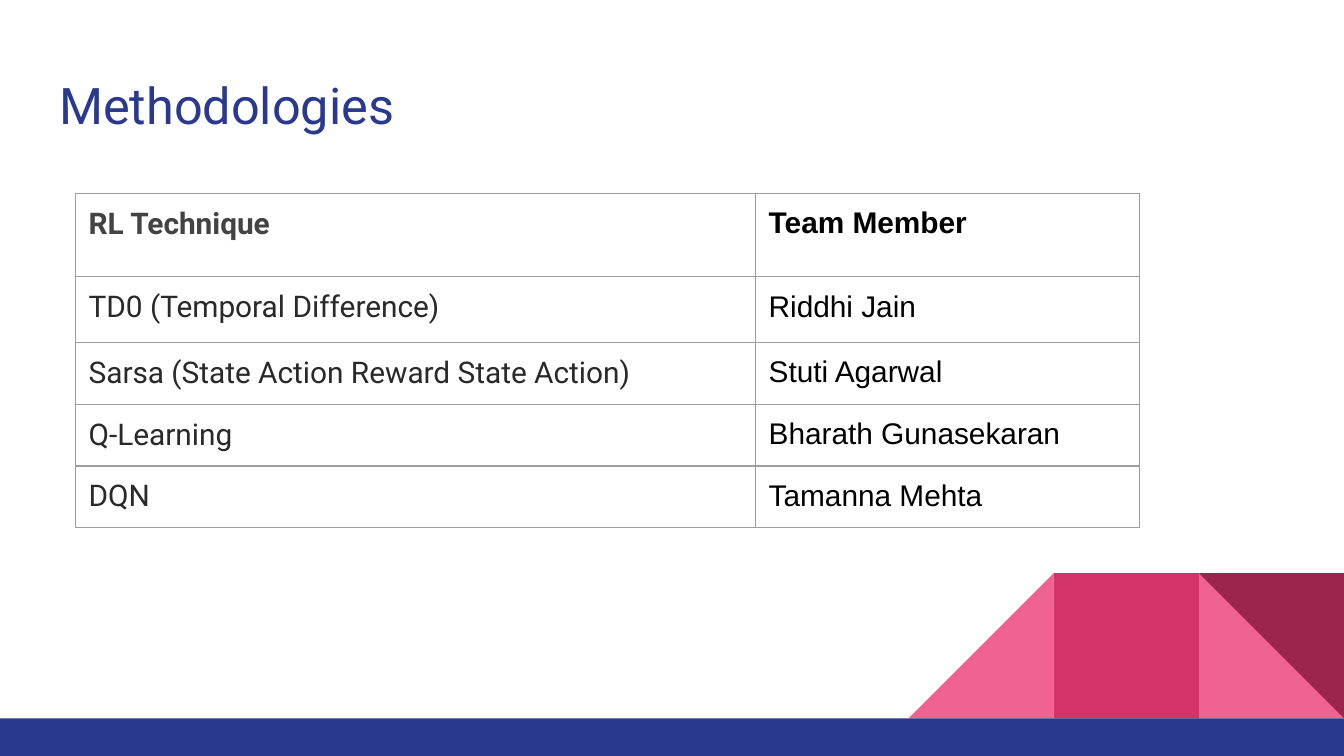
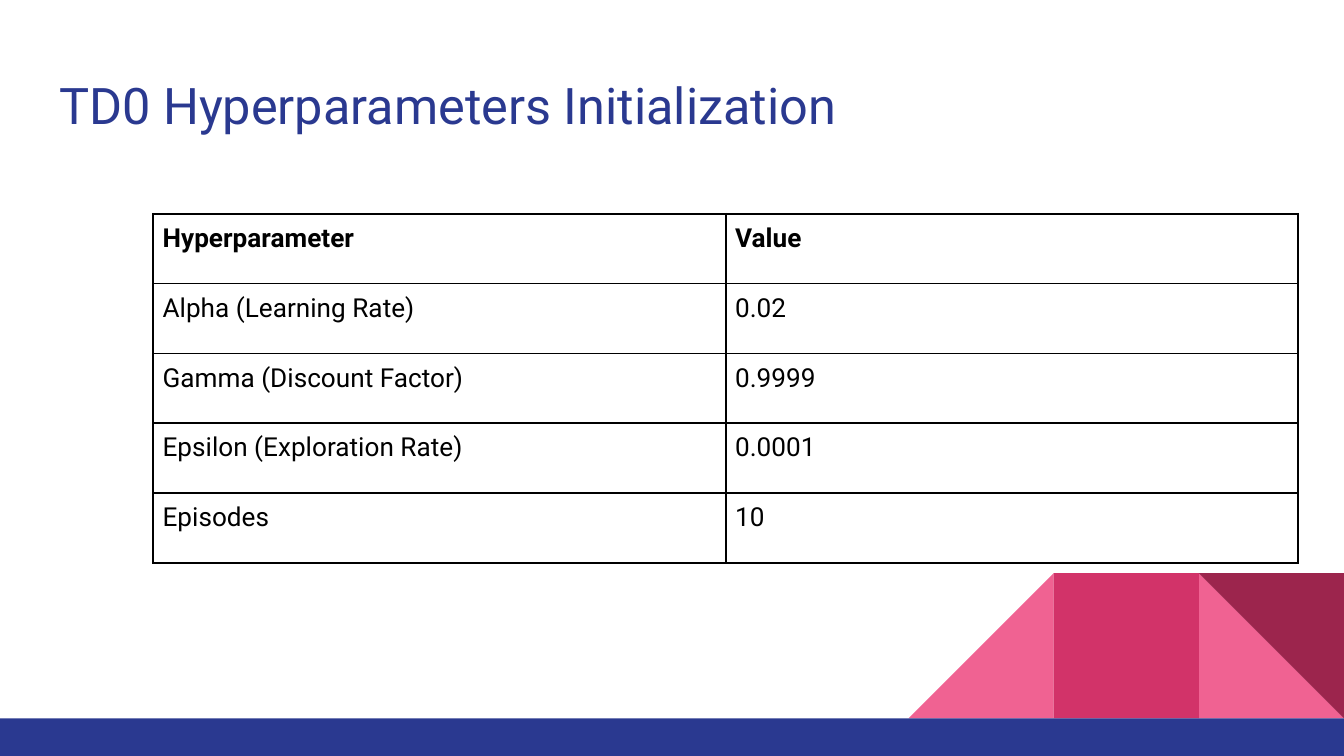
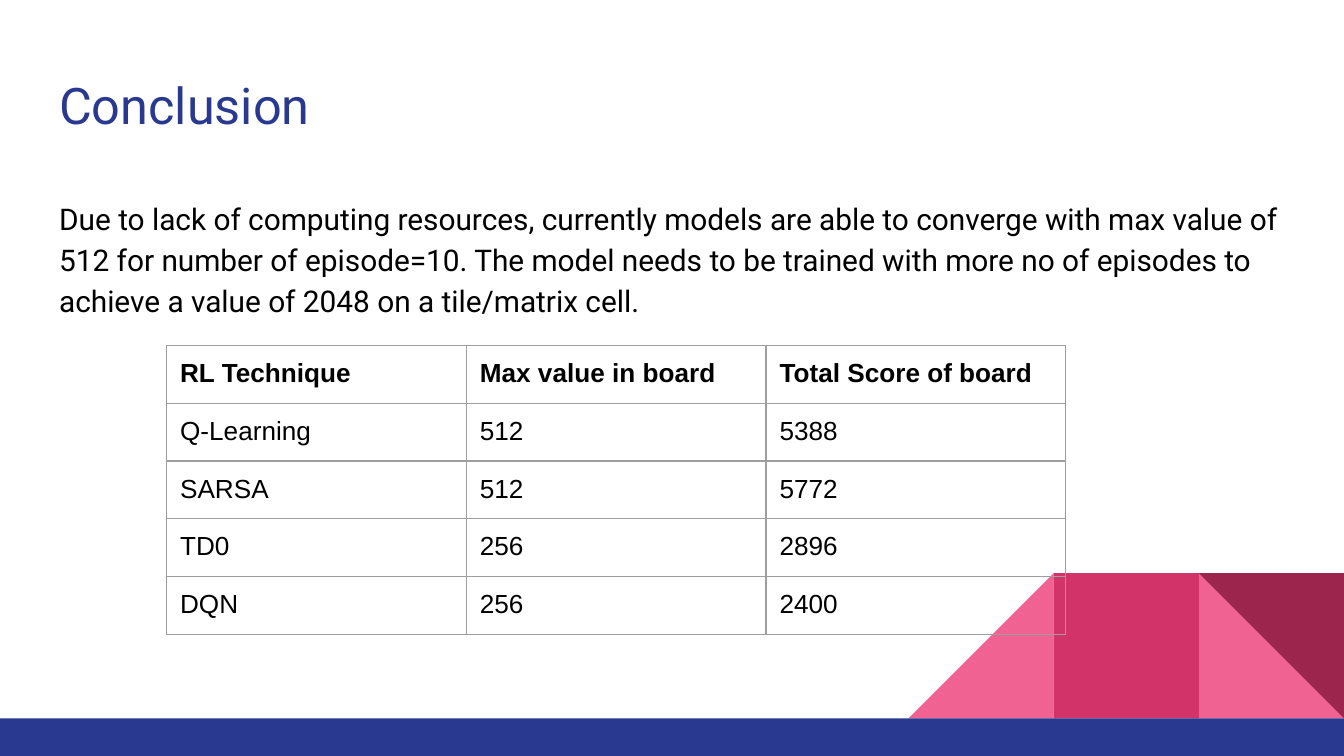
from dataclasses import dataclass

from lxml import etree
from pptx import Presentation
from pptx.dml.color import RGBColor
from pptx.enum.shapes import MSO_SHAPE
from pptx.enum.text import MSO_ANCHOR, MSO_AUTO_SIZE, PP_ALIGN
from pptx.oxml.ns import qn
from pptx.util import Inches, Pt

RECTANGLE = MSO_SHAPE.RECTANGLE
RIGHT_TRIANGLE = MSO_SHAPE.RIGHT_TRIANGLE
TOP = MSO_ANCHOR.TOP
LEFT = PP_ALIGN.LEFT
NO_AUTOFIT = MSO_AUTO_SIZE.NONE

WHITE = RGBColor(0xFF, 0xFF, 0xFF)
BLACK = RGBColor(0x00, 0x00, 0x00)
INDIGO = RGBColor(0x2A, 0x39, 0x90)
PINK = RGBColor(0xF0, 0x62, 0x92)
ROSE = RGBColor(0xD2, 0x33, 0x69)
WINE = RGBColor(0x9C, 0x25, 0x4D)
DARK_GRAY = RGBColor(0x43, 0x43, 0x43)
CHARCOAL = RGBColor(0x29, 0x29, 0x29)
RULE_GRAY = RGBColor(0x9E, 0x9E, 0x9E)

ROBOTO = "Roboto"
ARIAL = "Arial"

SLIDE_WIDTH = Inches(10)
SLIDE_HEIGHT = SLIDE_WIDTH * 9 // 16
BAND_HEIGHT = Inches(0.28)
TILE = Inches(1.08)
TEXT_LEFT, TEXT_WIDTH = Inches(0.34), Inches(9.32)
INSET = Inches(0.1)
TITLE_ONLY, TITLE_AND_BODY = 5, 1


@dataclass
class ColumnStyle:
    font: str
    header_color: RGBColor = BLACK
    body_color: RGBColor = BLACK
    space_after: int = 0


@dataclass
class TableStyle:
    columns: list
    size: int
    inset: float = 0.1
    rule_color: RGBColor = RULE_GRAY
    rule_width: float = 0.75


def add_run(paragraph, text, font, size, color, bold=False):
    run = paragraph.add_run()
    run.text = text
    run.font.name = font
    run.font.size = Pt(size)
    run.font.color.rgb = color
    run.font.bold = bold


def add_tile(shapes, kind, left, top, width, height, color, rotation=0):
    tile = shapes.add_shape(kind, left, top, width, height)
    tile.shadow.inherit = False
    tile.fill.solid()
    tile.fill.fore_color.rgb = color
    tile.line.fill.background()
    tile.rotation = rotation


def add_footer(slide):
    """Draw the indigo band and the tiles standing on its right end."""
    shapes = slide.shapes.add_group_shape().shapes
    band_top = SLIDE_HEIGHT - BAND_HEIGHT
    for kind, tiles_from_right, color, rotation in (
        (RIGHT_TRIANGLE, 1, PINK, 0),
        (RIGHT_TRIANGLE, 3, PINK, 270),
        (RECTANGLE, 2, ROSE, 0),
        (RIGHT_TRIANGLE, 1, WINE, 180),
    ):
        add_tile(shapes, kind, SLIDE_WIDTH - tiles_from_right * TILE,
                 band_top - TILE, TILE, TILE, color, rotation)
    add_tile(shapes, RECTANGLE, 0, band_top, SLIDE_WIDTH, BAND_HEIGHT, INDIGO)


def place_text(placeholder, top, height):
    """Position a placeholder and return its first paragraph."""
    placeholder.left, placeholder.top = TEXT_LEFT, top
    placeholder.width, placeholder.height = TEXT_WIDTH, height
    frame = placeholder.text_frame
    frame.word_wrap = True
    frame.auto_size = NO_AUTOFIT
    frame.vertical_anchor = TOP
    frame.margin_left = frame.margin_right = INSET
    frame.margin_top = frame.margin_bottom = INSET
    paragraph = frame.paragraphs[0]
    paragraph.alignment = LEFT
    paragraph.space_before = Pt(0)
    return paragraph


def add_slide(deck, title, layout=TITLE_ONLY):
    slide = deck.slides.add_slide(deck.slide_layouts[layout])
    slide.background.fill.solid()
    slide.background.fill.fore_color.rgb = WHITE
    add_footer(slide)
    heading = place_text(slide.shapes.title, Inches(0.45), Inches(0.66))
    add_run(heading, title, ROBOTO, 27, INDIGO)
    return slide


def fill_body(slide, text):
    paragraph = place_text(slide.placeholders[1], Inches(1.35), Inches(3.65))
    properties = paragraph._p.get_or_add_pPr()
    properties.set("marL", "0")
    properties.set("indent", "0")
    etree.SubElement(properties, qn("a:buNone"))
    paragraph.line_spacing = 1.15
    paragraph.space_after = Pt(12)
    add_run(paragraph, text, ROBOTO, 16, BLACK)


def rule_cell(cell, color, width):
    """Put a solid border on all four sides of a cell."""
    properties = cell._tc.get_or_add_tcPr()
    for position, side in enumerate(("a:lnL", "a:lnR", "a:lnT", "a:lnB")):
        line = etree.Element(qn(side), w=str(Pt(width)))
        fill = etree.SubElement(line, qn("a:solidFill"))
        etree.SubElement(fill, qn("a:srgbClr"), val=str(color))
        properties.insert(position, line)


def fill_cell(cell, text, column, style, is_header):
    cell.fill.background()
    rule_cell(cell, style.rule_color, style.rule_width)
    cell.vertical_anchor = TOP
    cell.margin_left = cell.margin_right = Inches(style.inset)
    cell.margin_top = cell.margin_bottom = Inches(style.inset)
    paragraph = cell.text_frame.paragraphs[0]
    paragraph.space_after = Pt(column.space_after)
    color = column.header_color if is_header else column.body_color
    add_run(paragraph, text, column.font, style.size, color, is_header)


def add_table(slide, left, top, widths, heights, rows, style):
    table = slide.shapes.add_table(
        len(rows), len(widths), Inches(left), Inches(top),
        Inches(sum(widths)), Inches(sum(heights))).table
    table.first_row = table.horz_banding = False
    for column, width in zip(table.columns, widths):
        column.width = Inches(width)
    for row, height in zip(table.rows, heights):
        row.height = Inches(height)
    for r, texts in enumerate(rows):
        for c, (text, column) in enumerate(zip(texts, style.columns)):
            fill_cell(table.cell(r, c), text, column, style, r == 0)


def main():
    deck = Presentation()
    deck.slide_width, deck.slide_height = SLIDE_WIDTH, SLIDE_HEIGHT

    methodologies = add_slide(deck, "Methodologies")
    technique = ColumnStyle(ROBOTO, DARK_GRAY, CHARCOAL, space_after=12)
    add_table(
        methodologies, 0.56, 1.44, [5.06, 2.86],
        [0.62, 0.49, 0.42, 0.42, 0.42],
        [("RL Technique", "Team Member"),
         ("TD0 (Temporal Difference)", "Riddhi Jain"),
         ("Sarsa (State Action Reward State Action)", "Stuti Agarwal"),
         ("Q-Learning", "Bharath Gunasekaran"),
         ("DQN", "Tamanna Mehta")],
        TableStyle([technique, ColumnStyle(ARIAL)], 16))

    hyperparameters = add_slide(deck, "TD0 Hyperparameters Initialization")
    add_table(
        hyperparameters, 1.14, 1.59, [4.26] * 2, [0.52] * 5,
        [("Hyperparameter", "Value"),
         ("Alpha (Learning Rate)", "0.02"),
         ("Gamma (Discount Factor)", "0.9999"),
         ("Epsilon (Exploration Rate)", "0.0001"),
         ("Episodes", "10")],
        TableStyle([ColumnStyle(ROBOTO)] * 2, 14, 0.07, BLACK, 1))

    conclusion = add_slide(deck, "Conclusion", TITLE_AND_BODY)
    fill_body(
        conclusion,
        "Due to lack of computing resources, currently models are able to "
        "converge with max value of 512 for number of episode=10. The model "
        "needs to be trained with more no of episodes to achieve a value of "
        "2048 on a tile/matrix cell.")
    add_table(
        conclusion, 1.24, 2.57, [2.23] * 3, [0.43] * 5,
        [("RL Technique", "Max value in board", "Total Score of board"),
         ("Q-Learning", "512", "5388"),
         ("SARSA", "512", "5772"),
         ("TD0", "256", "2896"),
         ("DQN", "256", "2400")],
        TableStyle([ColumnStyle(ARIAL)] * 3, 14))

    deck.save("out.pptx")


if __name__ == "__main__":
    main()
